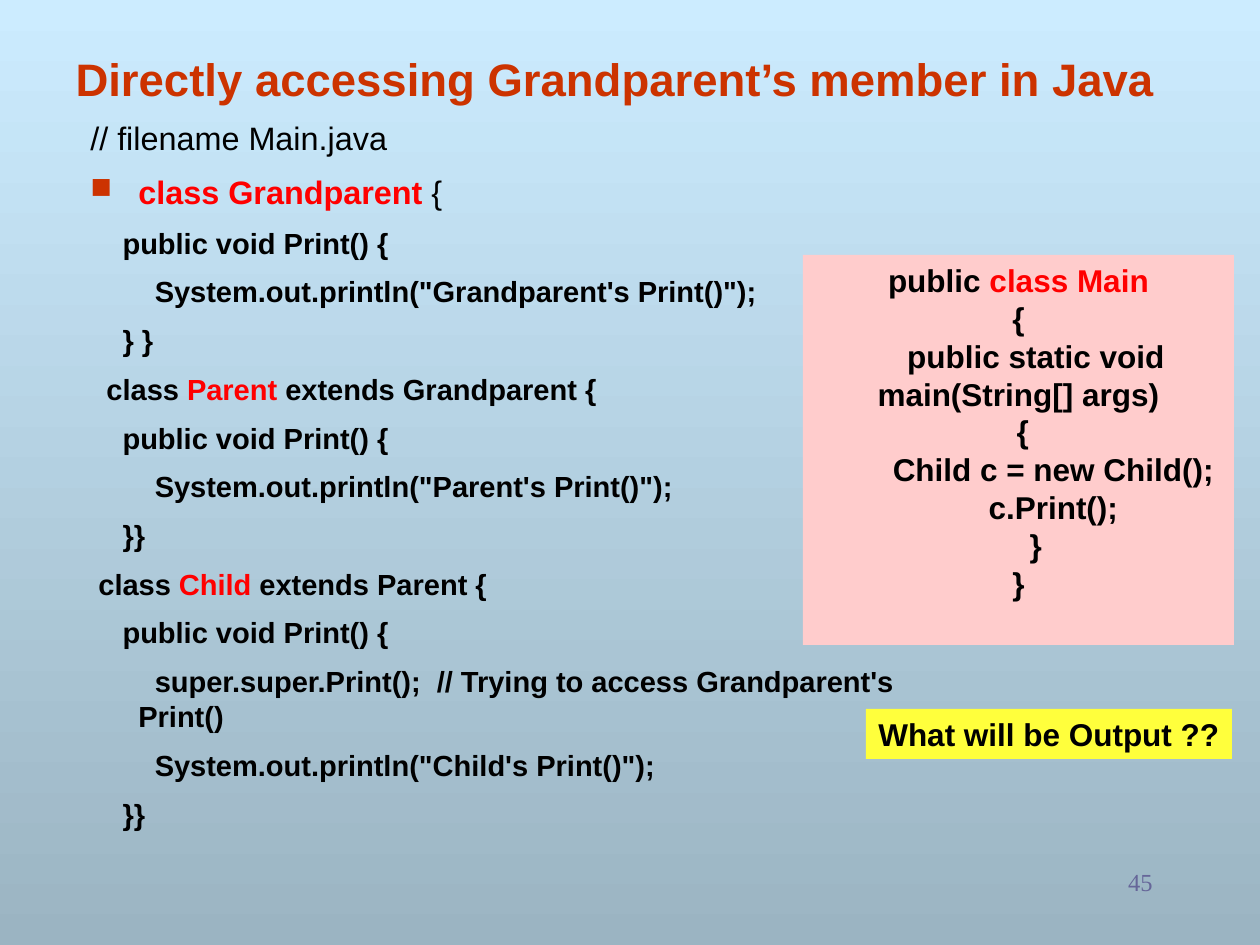
from pptx import Presentation
from pptx.util import Emu, Pt
from pptx.dml.color import RGBColor
from pptx.enum.text import MSO_ANCHOR, PP_ALIGN
from pptx.enum.shapes import MSO_SHAPE
from lxml.etree import SubElement

PX = 914400 / 126
NS = "{http://schemas.openxmlformats.org/drawingml/2006/main}"
HUE = {
    "sky": "CCECFF", "slate": "9BB4C2", "rust": "CC3300", "red": "FF0000",
    "black": "000000", "pink": "FFCCCC", "yellow": "FFFF3C", "violet": "666699",
}


def box(left, top, width, height, fill=None):
    area = [Emu(round(n * PX)) for n in (left, top, width, height)]
    if fill:
        shape = slide.shapes.add_shape(MSO_SHAPE.RECTANGLE, *area)
        shape.shadow.inherit = False
        shape.fill.solid()
        shape.fill.fore_color.rgb = RGBColor.from_string(HUE[fill])
        shape.line.fill.background()
    else:
        shape = slide.shapes.add_textbox(*area)
    frame = shape.text_frame
    frame.word_wrap = True
    frame.vertical_anchor = MSO_ANCHOR.TOP
    return frame


def write(para, text, size, hue="black", bold=True, align=PP_ALIGN.LEFT, face="Arial"):
    para.alignment = align
    font = para.font
    font.name, font.size, font.bold = face, Pt(size), bold
    font.color.rgb = RGBColor.from_string(HUE[hue])
    for i, part in enumerate(text.split("|")):
        if part:
            run = para.add_run()
            run.text = part
            if i % 2:
                run.font.bold = True
                run.font.color.rgb = RGBColor.from_string(HUE["red"])


deck = Presentation()
deck.slide_width, deck.slide_height = Emu(round(1260 * PX)), Emu(round(945 * PX))
slide = deck.slides.add_slide(deck.slide_layouts[6])

back = slide.background.fill
back.gradient()
back.gradient_angle = 270
for stop, hue in zip(back.gradient_stops, ("sky", "slate")):
    stop.color.rgb = RGBColor.from_string(HUE[hue])

title = box(42, 28, 1147, 84)
title.vertical_anchor = MSO_ANCHOR.BOTTOM
write(title.paragraphs[0], "Directly accessing Grandparent’s member in Java", 26,
      "rust", align=PP_ALIGN.CENTER)

code = """// filename Main.java
|class Grandparent| {
    public void Print() {
        System.out.println("Grandparent's Print()");
    } }
  class |Parent| extends Grandparent {
    public void Print() {
        System.out.println("Parent's Print()");
    }}
 class |Child| extends Parent {
    public void Print() {
        super.super.Print();  // Trying to access Grandparent's Print()
        System.out.println("Child's Print()");
    }}"""
body = box(78, 112, 880, 714)
for i, line in enumerate(code.split("\n")):
    para = body.add_paragraph() if i else body.paragraphs[0]
    head = i < 2
    if i:
        para.space_before = Pt(8.8 if head else 7.9)
    props = para._p.get_or_add_pPr()
    props.set("marL", str(round(48 * PX)))
    props.set("indent", str(round(-48 * PX)))
    if i == 1:
        tint = SubElement(props, NS + "buClr")
        SubElement(tint, NS + "srgbClr", val=HUE["rust"])
        SubElement(props, NS + "buSzPct", val="90000")
        SubElement(props, NS + "buChar", char="■")
    else:
        SubElement(props, NS + "buNone")
    write(para, line, 18.5 if head else 16.6, bold=not head)

page = box(903, 861, 262, 63)
write(page.paragraphs[0], "45", 14, "violet", False, PP_ALIGN.RIGHT, "Times New Roman")

main = """public |class Main|
{
    public static void main(String[] args)
 {
        Child c = new Child();
        c.Print();
    }
}"""
panel = box(803, 255, 431, 390, "pink")
for i, line in enumerate(main.split("\n")):
    para = panel.add_paragraph() if i else panel.paragraphs[0]
    write(para, line, 18, align=PP_ALIGN.CENTER)

ask = box(866, 709, 366, 50, "yellow")
ask.word_wrap = False
write(ask.paragraphs[0], "What will be Output ??", 18, align=PP_ALIGN.CENTER)

deck.save("out.pptx")
